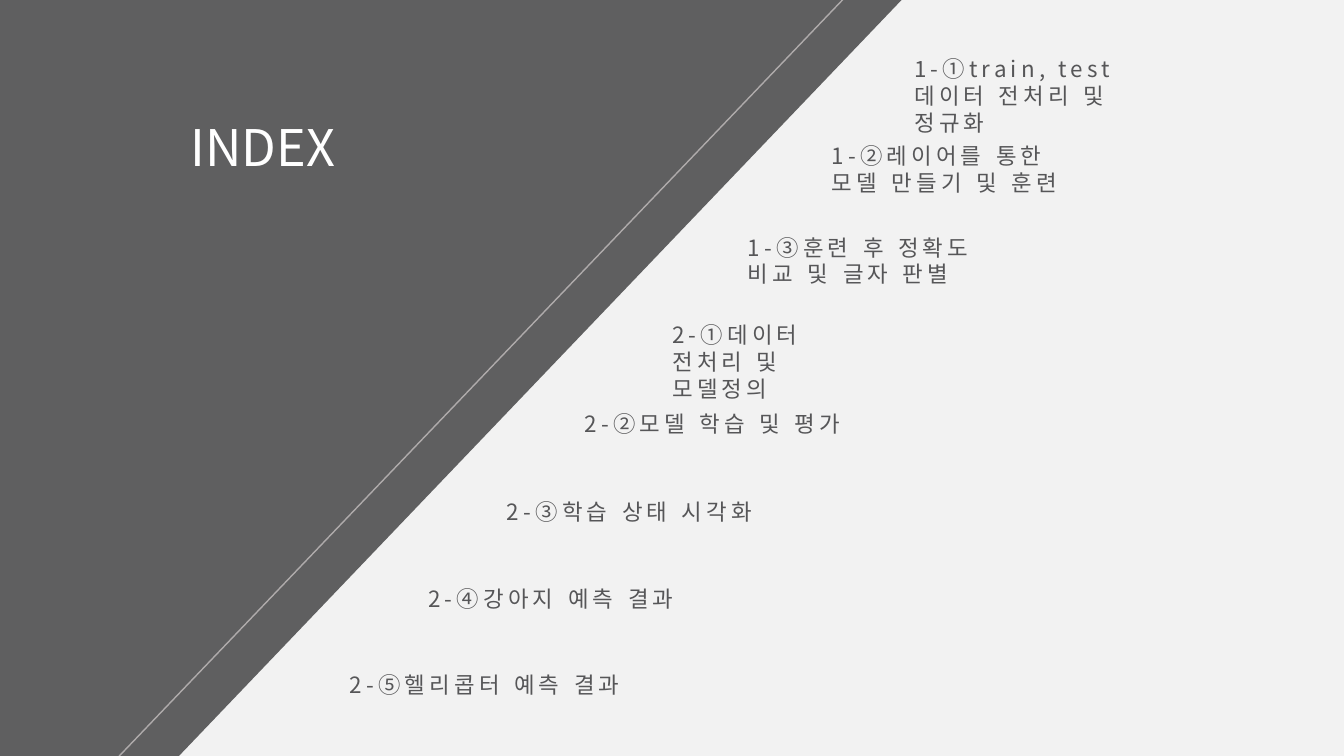
from lxml import etree
from pptx import Presentation
from pptx.dml.color import RGBColor
from pptx.enum.lang import MSO_LANGUAGE_ID
from pptx.enum.shapes import MSO_CONNECTOR, MSO_SHAPE
from pptx.enum.text import MSO_AUTO_SIZE
from pptx.oxml.ns import qn
from pptx.util import Inches, Pt

RECTANGLE = MSO_SHAPE.RECTANGLE
STRAIGHT = MSO_CONNECTOR.STRAIGHT
GROW = MSO_AUTO_SIZE.SHAPE_TO_FIT_TEXT
KOREAN = MSO_LANGUAGE_ID.KOREAN

FONT = "Noto Sans CJK KR"
PALE = RGBColor(0xF2, 0xF2, 0xF2)
DARK = RGBColor(0x5F, 0x5F, 0x60)
INK = RGBColor(0x56, 0x56, 0x58)
RULE = RGBColor(0xAF, 0xAB, 0xAB)
WHITE = RGBColor(0xFF, 0xFF, 0xFF)

# Index entries: left, top, width, height, wording
ENTRIES = [
    (8.97, 0.5, 2.79, 0.64, "1-①train, test 데이터 전처리 및 정규화"),
    (8.15, 1.36, 2.48, 0.64, "1-②레이어를 통한 모델 만들기 및 훈련"),
    (7.32, 2.27, 2.48, 0.64, "1-③훈련 후 정확도 비교 및 글자 판별"),
    (6.57, 3.14, 2.24, 0.64, "2-①데이터 전처리 및 모델정의"),
    (5.7, 4.02, 3.11, 0.37, "2-②모델 학습 및 평가"),
    (4.93, 4.89, 3.11, 0.37, "2-③학습 상태 시각화"),
    (4.15, 5.76, 3.11, 0.37, "2-④강아지 예측 결과"),
    (3.37, 6.61, 3.11, 0.37, "2-⑤헬리콥터 예측 결과"),
]


def add_panel(page, left, top, width, height, angle):
    panel = page.shapes.add_shape(
        RECTANGLE, Inches(left), Inches(top), Inches(width), Inches(height))
    panel.rotation = angle
    panel.shadow.inherit = False
    panel.fill.solid()
    panel.fill.fore_color.rgb = DARK
    panel.line.fill.background()


def add_rule(page, start, end):
    rule = page.shapes.add_connector(
        STRAIGHT, *(Inches(value) for value in start + end))
    rule.line.color.rgb = RULE
    rule.line.width = Pt(1)
    etree.SubElement(rule._element.spPr, qn("a:effectLst"))


def add_text(page, left, top, width, height, wording, size, color, spacing=0):
    box = page.shapes.add_textbox(
        Inches(left), Inches(top), Inches(width), Inches(height))
    frame = box.text_frame
    frame.word_wrap = True
    frame.auto_size = GROW
    frame.text = wording
    span = frame.paragraphs[0].runs[0]
    span.font.size = Pt(size)
    span.font.name = FONT
    span.font.color.rgb = color
    span.font.language_id = KOREAN
    # East Asian font and letter spacing (hundredths of a point)
    properties = span.font._element
    etree.SubElement(properties, qn("a:ea"), typeface=FONT)
    if spacing:
        properties.set("spc", str(spacing * 100))


def main():
    deck = Presentation()
    deck.slide_width = Inches(13.33)
    deck.slide_height = Inches(7.5)
    page = deck.slides.add_slide(deck.slide_layouts[6])
    page.background.fill.solid()
    page.background.fill.fore_color.rgb = PALE

    # Slanted title side
    add_panel(page, -4.92, -3.66, 13.46, 9.09, 313.7)
    add_rule(page, (0.16, 8.57), (10.01, -1.73))
    add_text(page, 1.79, 1.1, 2.08, 0.71, "INDEX", 36, WHITE)

    # Entries along the slope
    for *place, wording in ENTRIES:
        add_text(page, *place, wording, 16, INK, spacing=3)

    deck.save("out.pptx")


main()
